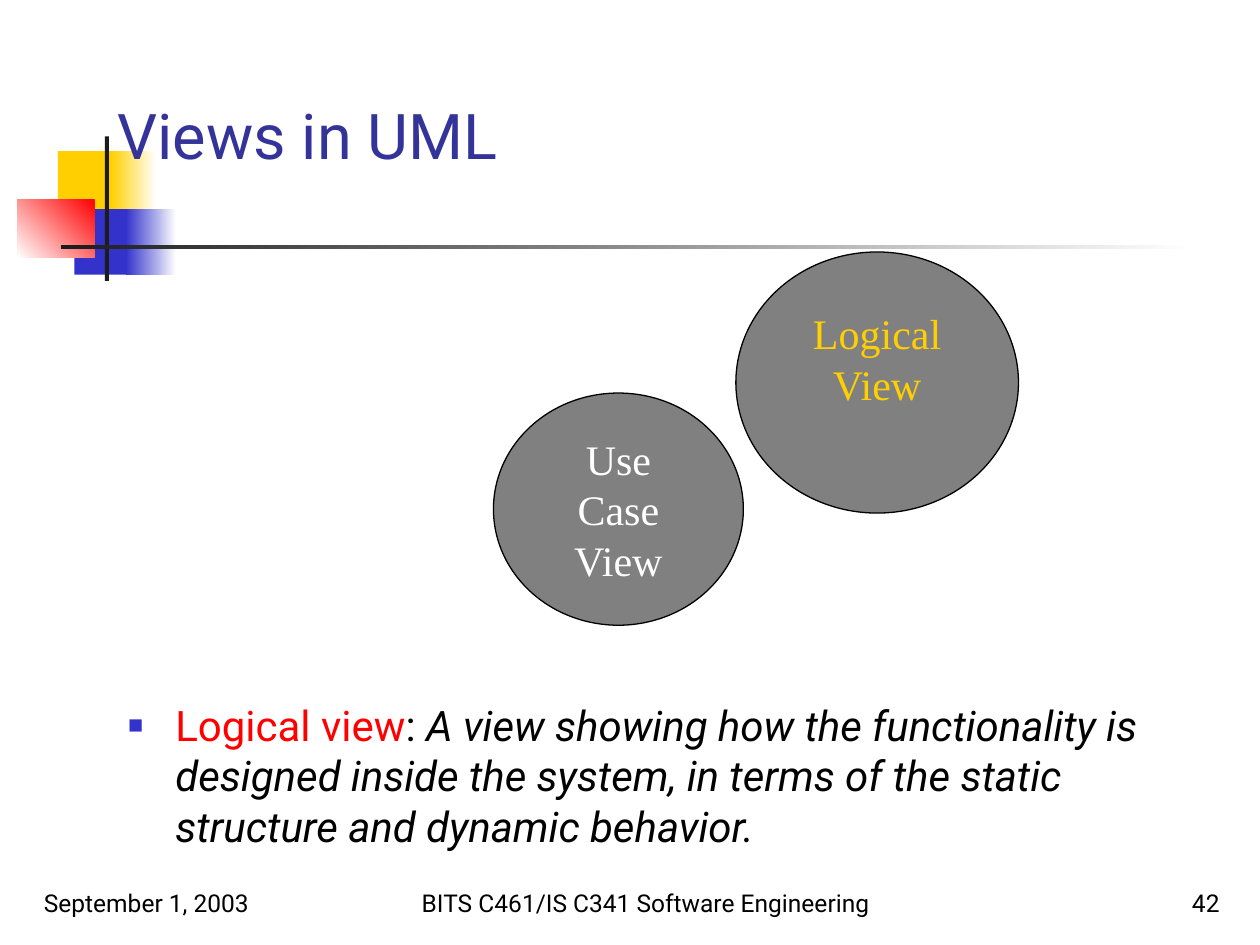
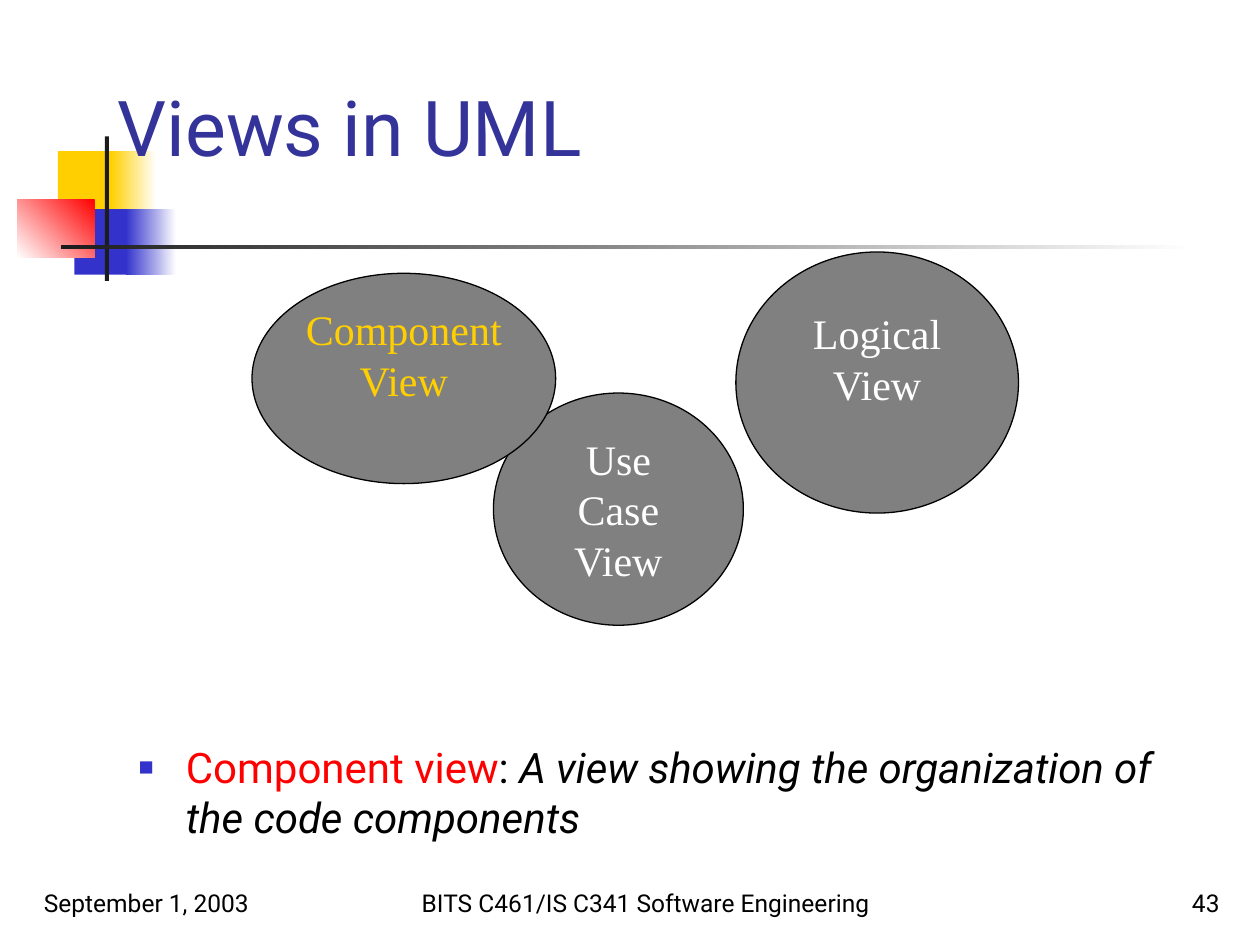
from collections import namedtuple

from lxml import etree
from pptx import Presentation
from pptx.dml.color import RGBColor
from pptx.enum.shapes import MSO_SHAPE
from pptx.enum.text import MSO_ANCHOR, MSO_AUTO_SIZE, PP_ALIGN
from pptx.oxml.ns import qn
from pptx.util import Pt

Box = namedtuple("Box", "left top width height")

COLOURS = {
    "title": "333399",
    "yellow": "FFCF01",
    "blue": "3333CC",
    "red": "FF0000",
    "rule": "1C1C1C",
    "oval": "808080",
    "white": "FFFFFF",
    "black": "000000",
}
SANS, SERIF = "Roboto", "Times New Roman"
TITLE_BOX = Box(60, 48, 612, 54)
ORNAMENT_BOX = Box(9.9, 78, 672.6, 82.6)
DIAGRAM_BOX = Box(144, 144, 438, 213.3)
FOOTER_BOX = Box(18, 492, 686, 36)

# Each view: its oval within the diagram, its lines and its extra format
VIEWS = {
    "use case": (Box(138, 80.6, 142.8, 132.7), ["Use Case", "View"], {}),
    "logical": (Box(276.5, 0, 161.5, 149.2), ["Logical", "View"],
                {"margin_bottom": Pt(31.2)}),
    "component": (Box(0, 12.2, 173.5, 120.2), ["Component", "View"],
                  {"margin_bottom": Pt(31.2), "word_wrap": False}),
}

SLIDES = [
    {
        "number": 42, "title_size": 36, "views": ["use case", "logical"],
        "highlight": "logical", "box": Box(66, 396, 612, 108),
        "term": "Logical view",
        "meaning": "A view showing how the functionality is designed inside "
                   "the system, in terms of the static structure and dynamic "
                   "behavior.",
    },
    {
        "number": 43, "title_size": 44,
        "views": ["use case", "logical", "component"],
        "highlight": "component", "box": Box(72, 420, 612, 84),
        "term": "Component view",
        "meaning": "A view showing the organization of the code components",
    },
]


def rgb(colour):
    return RGBColor.from_string(COLOURS[colour])


def set_format(target, formats):
    for name, value in formats.items():
        setattr(target, name, value)


def set_font(font, face, size, colour, **extra):
    set_format(font, {"name": face, "size": Pt(size), **extra})
    font.color.rgb = rgb(colour)


def place(shape, box):
    set_format(shape, {side: Pt(length) for side, length in box._asdict().items()})


def inside(outer, part):
    return part._replace(left=outer.left + part.left, top=outer.top + part.top)


def add_filled(slide, kind, box):
    shape = slide.shapes.add_shape(kind, *map(Pt, box))
    shape.shadow.inherit = False
    shape.fill.solid()
    shape.line.fill.background()
    return shape


def add_ornament(slide, master, box):
    """Draw the coloured squares and rules, then hand them to the master."""
    parts = [
        # box, start colour, end colour, angle
        (Box(23.2, 8.4, 34.6, 37.4), "yellow", None, 0),
        (Box(53.5, 8.4, 25.9, 37.4), "white", "yellow", 180),
        (Box(32.6, 41.5, 33.1, 37.4), "blue", None, 0),
        (Box(62.1, 41.5, 28.8, 37.4), "white", "blue", 180),
        (Box(0, 35.8, 44.2, 33.4), "red", "white", 225),
        (Box(50, 0, 2.3, 82.6), "rule", None, 0),
        (Box(24.7, 62, 648, 2.5), "white", "rule", 180),
    ]
    for shape_id, (part, start, end, angle) in enumerate(parts, 100):
        shape = add_filled(slide, MSO_SHAPE.RECTANGLE, inside(box, part))
        if end:
            shape.fill.gradient()
            shape.fill.gradient_angle = angle
            for stop, colour, position in zip(
                    shape.fill.gradient_stops, (start, end), (0, 1)):
                stop.color.rgb = rgb(colour)
                stop.position = position
        else:
            shape.fill.fore_color.rgb = rgb(start)
        shape.element.xpath(".//p:cNvPr")[0].set("id", str(shape_id))
        master.shapes.element.append(shape.element)


def fill_title(slide, box, size):
    title = slide.shapes.title
    place(title, box)
    set_format(title.text_frame, {
        "text": "Views in UML",
        "vertical_anchor": MSO_ANCHOR.BOTTOM,
        "auto_size": MSO_AUTO_SIZE.NONE,
    })
    heading = title.text_frame.paragraphs[0]
    heading.alignment = PP_ALIGN.LEFT
    set_font(heading.runs[0].font, SANS, size, "title")


def add_diagram(slide, box, views, highlight):
    for view in views:
        part, lines, formats = VIEWS[view]
        oval = add_filled(slide, MSO_SHAPE.OVAL, inside(box, part))
        oval.fill.fore_color.rgb = rgb("oval")
        oval.line.color.rgb = rgb("black")
        oval.line.width = Pt(0.75)
        set_format(oval.text_frame, {
            "text": "\n".join(lines),
            "word_wrap": True,
            "vertical_anchor": MSO_ANCHOR.MIDDLE,
            **formats,
        })
        for line in oval.text_frame.paragraphs:
            line.alignment = PP_ALIGN.CENTER
            set_font(line.runs[0].font, SERIF, 24,
                     "yellow" if view == highlight else "white")


def add_square_bullet(paragraph):
    properties = paragraph._p.get_or_add_pPr()
    set_indent = {"marL": Pt(27), "indent": Pt(-27)}
    for name, value in set_indent.items():
        properties.set(name, str(value))
    colour = etree.SubElement(properties, qn("a:buClr"))
    etree.SubElement(colour, qn("a:srgbClr"), val=COLOURS["blue"])
    etree.SubElement(properties, qn("a:buSzPct"), val="60000")
    etree.SubElement(properties, qn("a:buFont"), typeface="Arial")
    etree.SubElement(properties, qn("a:buChar"), char="■")


def fill_definition(slide, box, term, meaning):
    body = slide.placeholders[1]
    place(body, box)
    body.text_frame.auto_size = MSO_AUTO_SIZE.NONE
    definition = body.text_frame.paragraphs[0]
    add_square_bullet(definition)
    definition.space_before = Pt(0)
    for text, colour, italic in ((term, "red", False), (": ", "black", False),
                                 (meaning, "black", True)):
        run = definition.add_run()
        run.text = text
        set_font(run.font, SANS, 24, colour, italic=italic)


def add_footer(slide, box, number):
    parts = [
        # left, width, text, alignment
        (0, 150, "September 1, 2003", PP_ALIGN.LEFT),
        (204, 294, "BITS C461/IS C341 Software Engineering", PP_ALIGN.CENTER),
        (536, 150, str(number), PP_ALIGN.RIGHT),
    ]
    for left, width, text, alignment in parts:
        part = inside(box, Box(left, 0, width, box.height))
        note = slide.shapes.add_textbox(*map(Pt, part)).text_frame
        set_format(note, {"text": text, "word_wrap": True,
                          "vertical_anchor": MSO_ANCHOR.BOTTOM})
        note.paragraphs[0].alignment = alignment
        set_font(note.paragraphs[0].runs[0].font, SANS, 14, "black")


def add_view_slide(presentation, content):
    slide = presentation.slides.add_slide(presentation.slide_layouts[1])
    fill_title(slide, TITLE_BOX, content["title_size"])
    add_diagram(slide, DIAGRAM_BOX, content["views"], content["highlight"])
    fill_definition(slide, content["box"], content["term"], content["meaning"])
    add_footer(slide, FOOTER_BOX, content["number"])
    return slide


def main():
    presentation = Presentation()
    set_format(presentation, {"slide_width": Pt(720), "slide_height": Pt(540)})
    slides = [add_view_slide(presentation, content) for content in SLIDES]
    add_ornament(slides[0], presentation.slide_master, ORNAMENT_BOX)
    presentation.save("out.pptx")


if __name__ == "__main__":
    main()
